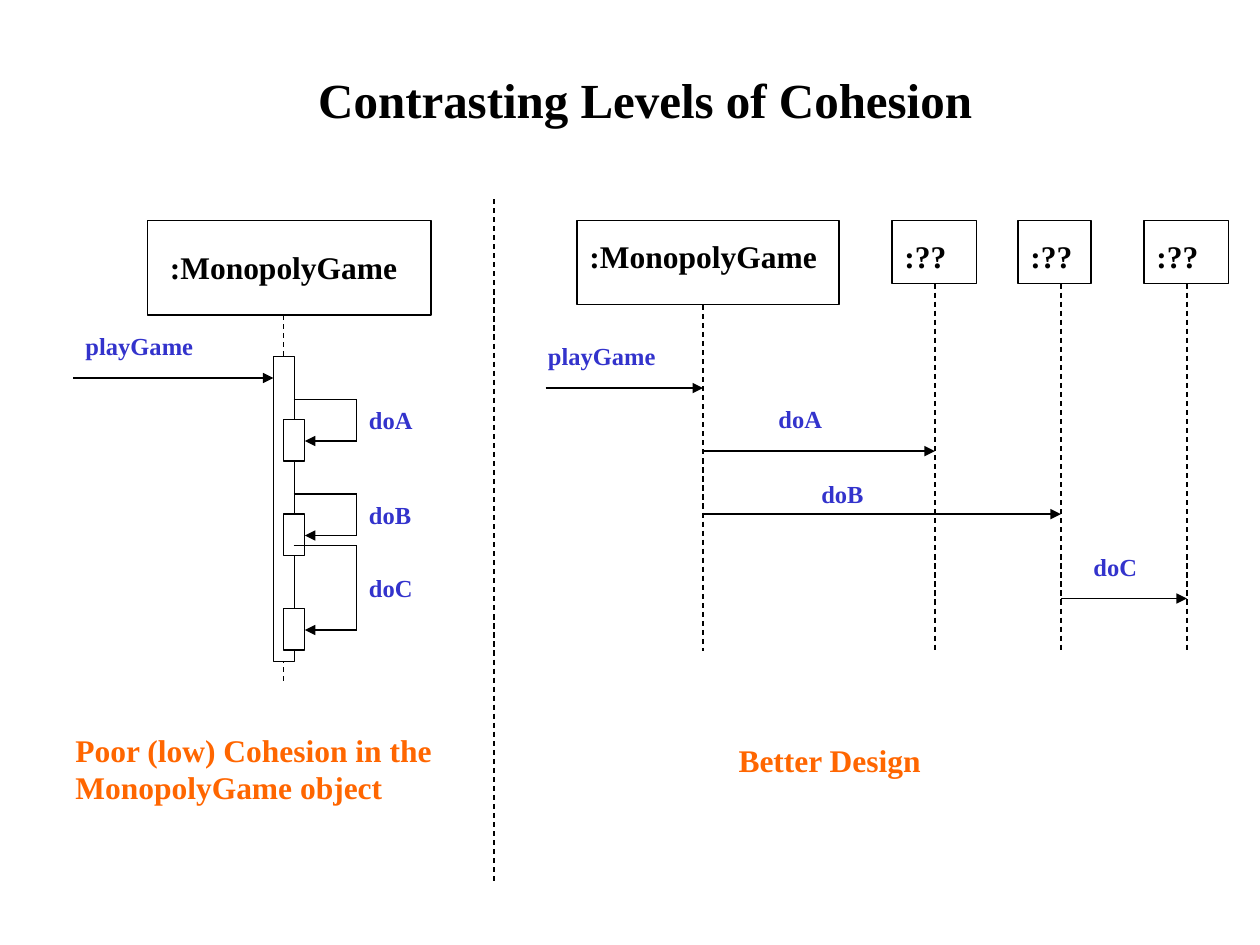
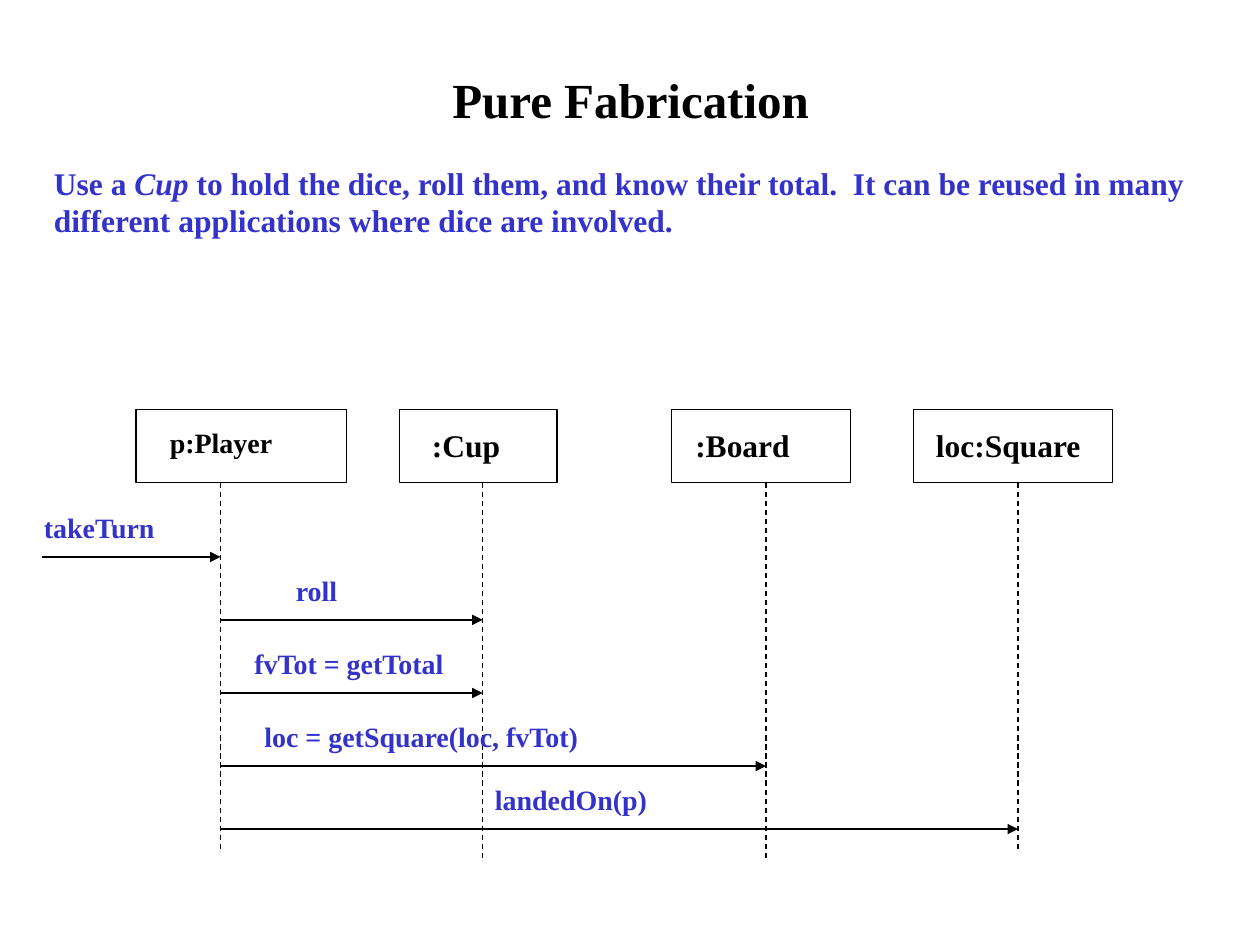
from dataclasses import dataclass

from lxml import etree
from pptx import Presentation
from pptx.dml.color import RGBColor
from pptx.enum.dml import MSO_LINE
from pptx.enum.shapes import MSO_CONNECTOR, MSO_SHAPE
from pptx.enum.text import MSO_ANCHOR, PP_ALIGN
from pptx.oxml.ns import qn
from pptx.util import Inches, Pt

RECTANGLE = MSO_SHAPE.RECTANGLE
STRAIGHT = MSO_CONNECTOR.STRAIGHT
DASH = MSO_LINE.DASH
TOP = MSO_ANCHOR.TOP
LEFT, CENTER = PP_ALIGN.LEFT, PP_ALIGN.CENTER
TITLE_ONLY = 5


@dataclass(frozen=True)
class Theme:
    font: str = "Times New Roman"
    ink: RGBColor = RGBColor(0x00, 0x00, 0x00)
    paper: RGBColor = RGBColor(0xFF, 0xFF, 0xFF)
    message: RGBColor = RGBColor(0x33, 0x33, 0xCC)
    caption: RGBColor = RGBColor(0xFF, 0x66, 0x00)
    title_size: int = 28
    body_size: int = 18
    label_size: int = 16
    small_size: int = 14
    line_width: float = 0.75


THEME = Theme()


@dataclass(frozen=True)
class Region:
    """An area of a slide; its parts are placed in inches from its corner."""
    slide: object
    left: float
    top: float
    width: float

    def x(self, offset):
        return Inches(self.left + offset)

    def y(self, offset):
        return Inches(self.top + offset)


def text_height(size, lines=1):
    return lines * size * 1.2 / 72 + 0.1


def format_text(frame, size, color, align=LEFT):
    frame.word_wrap = True
    frame.vertical_anchor = TOP
    frame.margin_left = frame.margin_right = Inches(0.1)
    frame.margin_top = frame.margin_bottom = Inches(0.05)
    for paragraph in frame.paragraphs:
        paragraph.alignment = align
        for run in paragraph.runs:
            run.font.name = THEME.font
            run.font.size = Pt(size)
            run.font.bold = True
            run.font.color.rgb = color


def add_text(region, runs, left, top, width, size, color, lines=1, align=LEFT):
    """Runs is a list of (text, italic) pairs."""
    box = region.slide.shapes.add_textbox(
        region.x(left), region.y(top), Inches(width), Inches(text_height(size, lines)))
    paragraph = box.text_frame.paragraphs[0]
    for text, italic in runs:
        run = paragraph.add_run()
        run.text = text
        run.font.italic = italic
    format_text(box.text_frame, size, color, align)


def add_label(region, text, left, top, width, size, color, **options):
    add_text(region, [(text, False)], left, top, width, size, color, **options)


def add_box(region, left, top, width, height):
    box = region.slide.shapes.add_shape(
        RECTANGLE, region.x(left), region.y(top), Inches(width), Inches(height))
    box.shadow.inherit = False
    box.fill.solid()
    box.fill.fore_color.rgb = THEME.paper
    box.line.color.rgb = THEME.ink
    box.line.width = Pt(THEME.line_width)


def add_line(region, start, end, dashed=False, arrow=False):
    connector = region.slide.shapes.add_connector(
        STRAIGHT, region.x(start[0]), region.y(start[1]), region.x(end[0]), region.y(end[1]))
    connector.line.color.rgb = THEME.ink
    connector.line.width = Pt(THEME.line_width)
    if dashed:
        connector.line.dash_style = DASH
    properties = connector.element.spPr
    if arrow:
        etree.SubElement(properties.find(qn("a:ln")), qn("a:tailEnd"), type="triangle")
    etree.SubElement(properties, qn("a:effectLst"))


def add_participant(region, name, left, width, height, label_left, label_width,
                    lifeline, lifeline_end, label_top=0.08, size=THEME.body_size):
    add_box(region, left, 0, width, height)
    add_label(region, name, label_left, label_top, label_width, size, THEME.ink)
    add_line(region, (lifeline, height), (lifeline, lifeline_end), dashed=True)


def add_message(region, text, start, end, y, label_left, label_width, size, rise=0.42):
    """An arrow between lifelines, its label starting `rise` above it."""
    add_line(region, (start, y), (end, y), arrow=True)
    add_label(region, text, label_left, y - rise, label_width, size, THEME.message)


def add_self_call(region, text, lifeline, call_y, return_y):
    """A loop that leaves a lifeline and comes back to a short activation bar."""
    turn = lifeline + 0.58
    add_box(region, lifeline, return_y - 0.17, 0.17, 0.33)
    add_line(region, (lifeline + 0.08, call_y), (turn, call_y))
    add_line(region, (turn, call_y), (turn, return_y))
    add_line(region, (turn, return_y), (lifeline + 0.17, return_y), arrow=True)
    label_top = (call_y + return_y - text_height(THEME.small_size)) / 2
    add_label(region, text, turn, label_top, 0.67, THEME.small_size, THEME.message)


def add_titled_slide(presentation, title, left, width):
    slide = presentation.slides.add_slide(presentation.slide_layouts[TITLE_ONLY])
    shape = slide.shapes.title
    shape.left, shape.top = Inches(left), Inches(0.5)
    shape.width, shape.height = Inches(width), Inches(text_height(THEME.title_size))
    shape.text_frame.text = title
    format_text(shape.text_frame, THEME.title_size, THEME.ink, CENTER)
    return slide


def draw_poor_design(region):
    lifeline = 1.75
    add_participant(region, ":MonopolyGame", 0.67, 2.25, 0.75, 0.75, 2.17,
                    lifeline, 3.67, label_top=0.17)
    add_box(region, lifeline - 0.08, 1.08, 0.17, 2.42)
    add_message(region, "playGame", 0.08, lifeline - 0.08, 1.25, 0.08, 1.5, THEME.small_size)
    for text, call_y, return_y in (("doA", 1.42, 1.75), ("doB", 2.17, 2.5), ("doC", 2.58, 3.25)):
        add_self_call(region, text, lifeline, call_y, return_y)
    add_label(region, "Poor (low) Cohesion in the MonopolyGame object", 0, 4,
              region.width, THEME.body_size, THEME.caption, lines=2)


def draw_better_design(region):
    bottom = 3.42
    game = 1.33
    helpers = [3.17 + step for step in range(3)]
    add_participant(region, ":MonopolyGame", 0.33, 2.08, 0.67, 0.33, 2.08, game, bottom)
    for lifeline, width in zip(helpers, (0.67, 0.58, 0.67)):
        left = lifeline - 0.34
        add_participant(region, ":??", left, width, 0.5, left, 0.58, lifeline, bottom)
    messages = (
        ("playGame", 0.08, game, 1.33, 0, 1.25, 0.42),
        ("doA", game, helpers[0], 1.83, 1.83, 0.75, 0.42),
        ("doB", game, helpers[1], 2.33, 2.17, 1, 0.33),
        ("doC", helpers[1], helpers[2], 3, 4.33, 0.92, 0.42),
    )
    for *message, rise in messages:
        add_message(region, *message, THEME.small_size, rise)
    add_label(region, "Better Design", 0.42, 4.08, 3.83, THEME.body_size,
              THEME.caption, align=CENTER)


def draw_fabrication(region):
    player, cup, board, square = 1.5, 3.58, 5.83, 7.83
    participants = (
        ("p:Player", 0.83, 1.67, 1, 1.25, player, 3.5, THEME.label_size),
        (":Cup", 2.92, 1.25, 3.08, 1, cup, 3.58, THEME.body_size),
        (":Board", 5.08, 1.42, 5.17, 1.17, board, 3.58, THEME.body_size),
        ("loc:Square", 7, 1.58, 7.08, 1.67, square, 3.5, THEME.body_size),
    )
    for name, left, width, label_left, label_width, lifeline, end, size in participants:
        add_participant(region, name, left, width, 0.58, label_left, label_width,
                        lifeline, end, size=size)
    messages = (
        ("takeTurn", 0.08, player, 1.17, 0, 1.42),
        ("roll", player, cup, 1.67, 2, 0.83),
        ("fvTot = getTotal", player, cup, 2.25, 1.67, 1.75),
        ("loc = getSquare(loc, fvTot)", player, board, 2.83, 1.75, 2.92),
        ("landedOn(p)", player, square, 3.33, 3.58, 1.75),
    )
    for message in messages:
        add_message(region, *message, THEME.label_size)


def build_cohesion_slide(presentation):
    slide = add_titled_slide(presentation, "Contrasting Levels of Cohesion", 1.58, 7.08)
    draw_poor_design(Region(slide, 0.5, 1.75, 3.08))
    draw_better_design(Region(slide, 4.25, 1.75, 5.5))
    divider = Region(slide, 3.92, 1.58, 0)
    add_line(divider, (0, 0), (0, 5.42), dashed=True)


def build_fabrication_slide(presentation):
    slide = add_titled_slide(presentation, "Pure Fabrication", 1.42, 7.17)
    introduction = Region(slide, 0.33, 1.25, 9.25)
    runs = [
        ("Use a ", False),
        ("Cup", True),
        (" to hold the dice, roll them, and know their total.  It can be reused in many "
         "different applications where dice are involved.", False),
    ]
    add_text(introduction, runs, 0, 0, introduction.width, THEME.body_size,
             THEME.message, lines=2)
    draw_fabrication(Region(slide, 0.25, 3.25, 8.75))


def main():
    presentation = Presentation()
    presentation.slide_width = Inches(10)
    presentation.slide_height = Inches(7.5)
    build_cohesion_slide(presentation)
    build_fabrication_slide(presentation)
    presentation.save("out.pptx")


if __name__ == "__main__":
    main()
